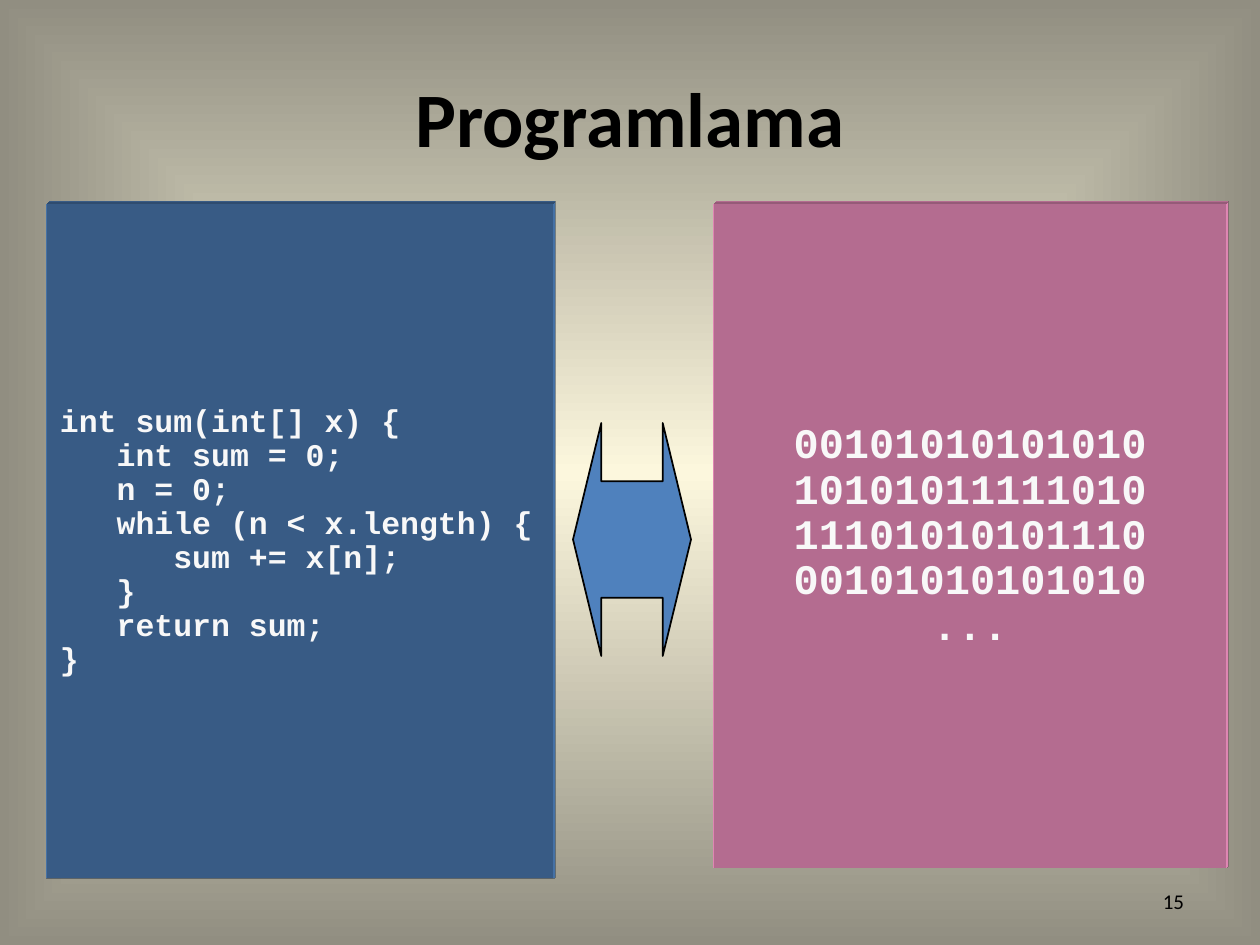
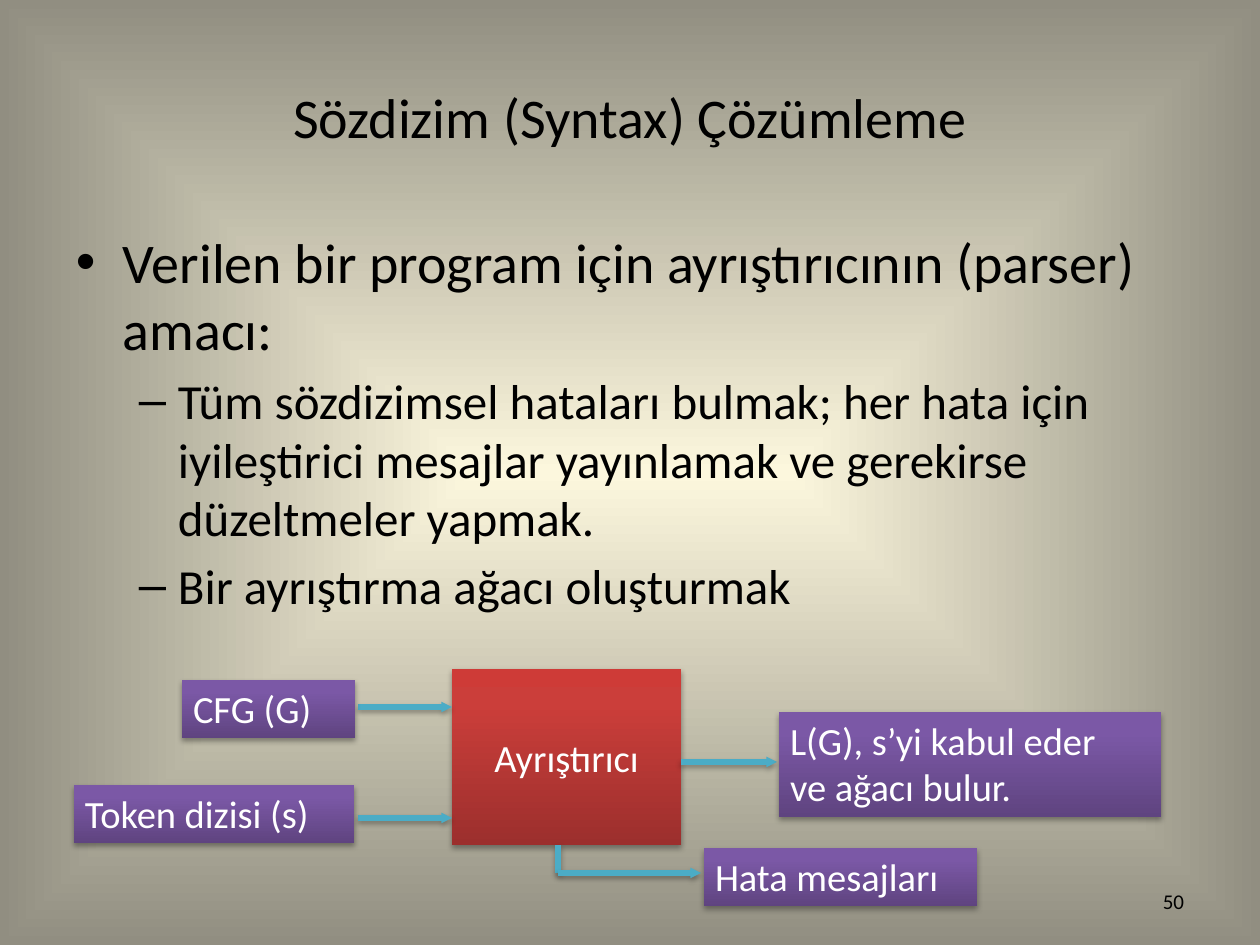
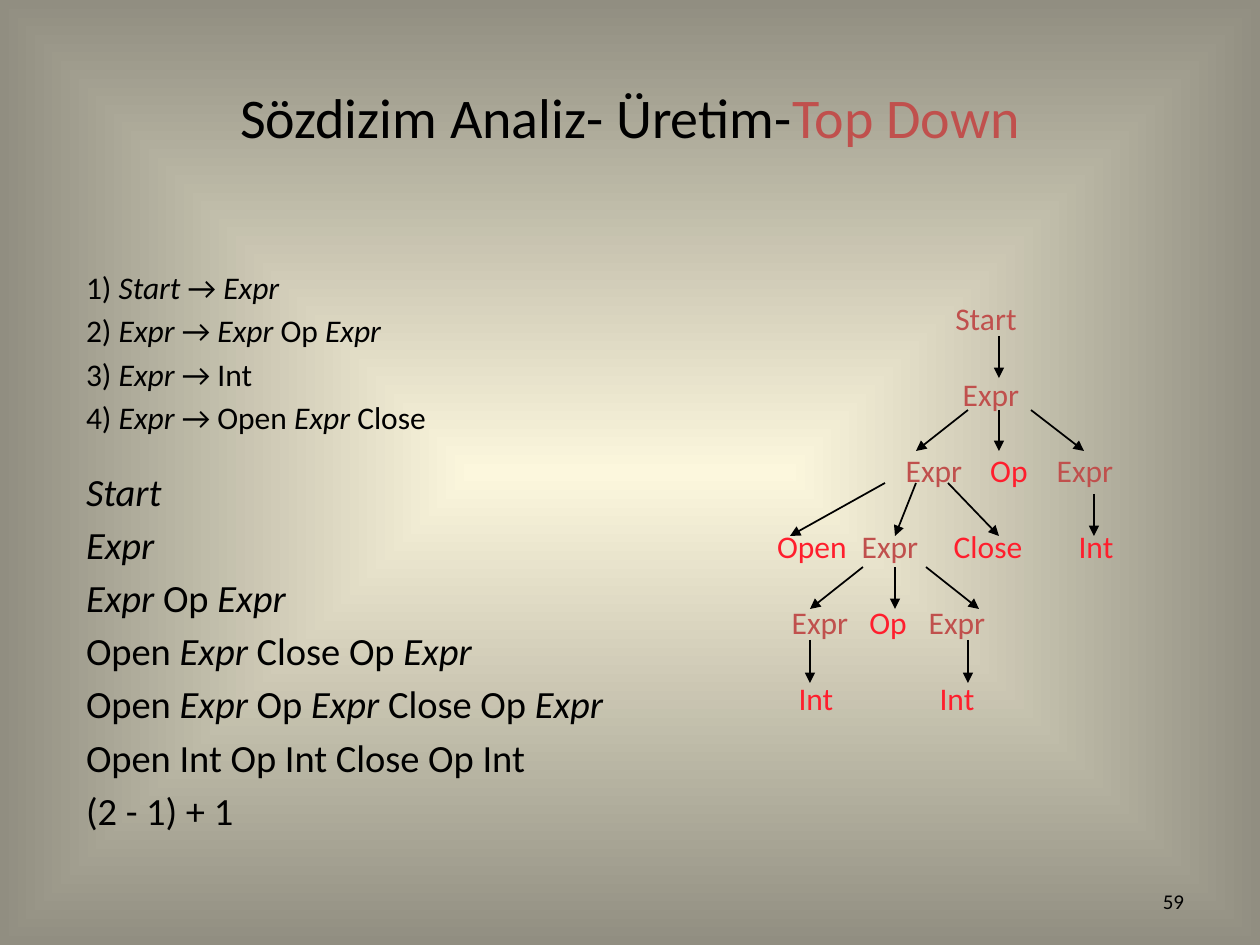
from lxml import etree
from pptx import Presentation
from pptx.dml.color import RGBColor
from pptx.enum.shapes import MSO_CONNECTOR, MSO_SHAPE
from pptx.enum.text import MSO_ANCHOR, PP_ALIGN
from pptx.oxml.ns import nsdecls, qn
from pptx.util import Emu, Pt

PX = 914400 / 126
RECTANGLE, DOUBLE_ARROW = MSO_SHAPE.RECTANGLE, MSO_SHAPE.LEFT_RIGHT_ARROW
STRAIGHT = MSO_CONNECTOR.STRAIGHT
LEFT, CENTER, RIGHT = PP_ALIGN.LEFT, PP_ALIGN.CENTER, PP_ALIGN.RIGHT
TOP, MIDDLE = MSO_ANCHOR.TOP, MSO_ANCHOR.MIDDLE
TITLE_ONLY = 5

COLORS = {
    "text": "000000", "white": "FFFFFF", "code": "F8F8F8",
    "blue": "4F81BD", "pink": "FF99CC", "flow": "4BACC6",
    "nonterminal": "C0504D", "terminal": "FF1E2D",
}
BACKGROUND_STOPS = [(0, "FCF7DD"), (100, "918E81")]
RED_STOPS = [(0, "9C2F2D"), (80, "CB3E3A"), (100, "CE3B37")]
PURPLE_STOPS = [(0, "5F4480"), (80, "7B58A6"), (100, "7C57A8")]
FROM_CENTER = '<a:path path="shape"><a:fillToRect l="50000" t="50000" r="50000" b="50000"/></a:path>'
UPWARDS = '<a:lin ang="16200000" scaled="0"/>'

TITLE_BOX = (63, 38, 1134, 157)
NUMBER_BOX = (903, 876, 294, 50)
TEXT_INSETS = (13, 6)
BLOCK_INSETS = (11, 5)
SPACE_RATIO = 0.18

NONTERMINALS = {"Start", "Expr"}
TREE_ROW_HEIGHT, TREE_LABEL_WIDTH = 76, 90
TREE_ROWS = [
    [("Start", 228)],
    [("Expr", 233)],
    [("Expr", 176), ("Op", 251), ("Expr", 327)],
    [("Open", 54), ("Expr", 132), ("Close", 230), ("Int", 338)],
    [("Expr", 62), ("Op", 130), ("Expr", 199)],
    [("Int", 58), ("Int", 199)],
]
# Start height, end height, and the start and end of each arrow across
TREE_ARROWS = [
    (42, 84, [(241, 241)]),
    (116, 157, [(241, 241), (273, 326), (210, 158)]),
    (189, 242, [(158, 137), (190, 241), (127, 32)]),
    (200, 242, [(336, 336)]),
    (273, 315, [(137, 137), (168, 221), (105, 52)]),
    (346, 389, [(52, 52), (210, 210)]),
]


def px(*values):
    return [Emu(round(value * PX)) for value in values]


def moved(box, left, top):
    return (box[0] + left, box[1] + top, *box[2:])


def rgb(name):
    return RGBColor.from_string(COLORS[name])


def xml(text):
    """Parse one drawing element, declaring its namespace."""
    tag, rest = text.split(None, 1) if " " in text.split(">")[0] else text.split(">", 1)
    joint = " " if " " in text.split(">")[0] else ">"
    return etree.fromstring(f"{tag} {nsdecls('a')}{joint}{rest}")


def set_gradient(fill, owner, stops, shading):
    fill.gradient()
    plain = owner.find(".//" + qn("a:gradFill"))
    stop_list = "".join(
        f'<a:gs pos="{position * 1000}"><a:srgbClr val="{color}"/></a:gs>'
        for position, color in stops)
    plain.getparent().replace(plain, xml(
        f'<a:gradFill rotWithShape="1"><a:gsLst>{stop_list}</a:gsLst>{shading}</a:gradFill>'))


def add_effects(shape, shadow=False):
    """Replace the theme shadow by none or by a soft one below."""
    effects = xml('<a:effectLst></a:effectLst>')
    if shadow:
        effects.append(xml(
            '<a:outerShdw blurRad="40000" dist="23000" dir="5400000" rotWithShape="0">'
            '<a:srgbClr val="000000"><a:alpha val="35000"/></a:srgbClr></a:outerShdw>'))
    shape.element.spPr.append(effects)


def format_font(font, values):
    for name, value in values.items():
        if name == "color":
            font.color.rgb = rgb(value)
        else:
            setattr(font, name, Pt(value) if name == "size" else value)


def style(size, color="text", name="Calibri", **more):
    return {"size": size, "color": color, "name": name, **more}


def write_runs(paragraph, text, font, emphasis):
    """Write text whose parts between asterisks take the emphasis format."""
    for index, part in enumerate(text.split("*")):
        if part:
            run = paragraph.add_run()
            run.text = part
            format_font(run.font, {**font, **(emphasis if index % 2 else {})})


def write_text(shape, lines, font, emphasis=None, align=LEFT, anchor=TOP,
               wrap=True, insets=TEXT_INSETS, line_spacing=None, space=0):
    frame = shape.text_frame
    frame.word_wrap, frame.vertical_anchor = wrap, anchor
    across, down = px(*insets)
    frame.margin_left = frame.margin_right = across
    frame.margin_top = frame.margin_bottom = down
    for index, line in enumerate(lines):
        paragraph = frame.add_paragraph() if index else frame.paragraphs[0]
        paragraph.alignment = align
        if line_spacing:
            paragraph.line_spacing = line_spacing
        if index and space:
            paragraph.space_before = Pt(space)
        write_runs(paragraph, line, font, emphasis or {})


def add_text(slide, box, lines, font, **options):
    shape = slide.shapes.add_textbox(*px(*box))
    write_text(shape, lines, font, **options)
    return shape


def add_block(slide, box, kind=RECTANGLE, color=None, stops=None, shadow=False):
    shape = slide.shapes.add_shape(kind, *px(*box))
    if stops:
        set_gradient(shape.fill, shape.element, stops, UPWARDS)
    else:
        shape.fill.solid()
        shape.fill.fore_color.rgb = rgb(color)
    shape.line.fill.background()
    add_effects(shape, shadow)
    return shape


def add_line(slide, start, end, color, width, head=None, shadow=False):
    line = slide.shapes.add_connector(STRAIGHT, *px(*start, *end))
    line.line.color.rgb = rgb(color)
    line.line.width = Pt(width)
    if head:
        line.line._get_or_add_ln().append(
            xml(f'<a:tailEnd type="triangle" w="{head}" len="{head}"/>'))
    add_effects(line, shadow)


def add_titled_slide(presentation, title, number, size=32, bold=False):
    slide = presentation.slides.add_slide(presentation.slide_layouts[TITLE_ONLY])
    shape = slide.shapes.title
    shape.left, shape.top, shape.width, shape.height = px(*TITLE_BOX)
    write_text(shape, [title], style(size, bold=bold), {"color": "nonterminal"},
               align=CENTER, anchor=MIDDLE)
    add_text(slide, NUMBER_BOX, [str(number)], style(12), align=RIGHT, anchor=MIDDLE)
    return slide


def add_code_panel(slide, box, color, lines, size, align=LEFT):
    """Add a panel with a shallow extrusion to the upper right."""
    panel = add_block(slide, box, color=color)
    panel.element.spPr.append(xml(
        '<a:scene3d ><a:camera prst="legacyObliqueTopRight"/>'
        '<a:lightRig rig="legacyFlat3" dir="b"/></a:scene3d>'))
    panel.element.spPr.append(xml(
        '<a:sp3d extrusionH="49200" prstMaterial="legacyMatte">'
        '<a:bevelT w="13500" h="13500" prst="angle"/>'
        '<a:bevelB w="13500" h="13500" prst="angle"/>'
        f'<a:extrusionClr><a:srgbClr val="{COLORS[color]}"/></a:extrusionClr></a:sp3d>'))
    write_text(panel, lines, style(size, "code", "Courier New", bold=True),
               align=align, anchor=MIDDLE, wrap=False, line_spacing=0.9)


def add_bullets(slide, box, items):
    """Add (level, text) items as a two-level bulleted list."""
    levels = [("•", 32, 47, 47), ("–", 28, 102, 39)]
    frame = add_text(slide, box, [], {}).text_frame
    for index, (level, text) in enumerate(items):
        mark, size, margin, hanging = levels[level]
        paragraph = frame.add_paragraph() if index else frame.paragraphs[0]
        paragraph.level = level
        properties = paragraph._p.get_or_add_pPr()
        margin, hanging = px(margin, hanging)
        properties.set("marL", str(margin))
        properties.set("indent", str(-hanging))
        properties.append(xml('<a:buFont typeface="Arial"/>'))
        properties.append(xml(f'<a:buChar char="{mark}"/>'))
        if index:
            paragraph.space_before = Pt(size * SPACE_RATIO)
        write_runs(paragraph, text, style(size), {})


def add_parser_diagram(slide, box):
    parser = add_block(slide, moved(box, 378, 0)[:2] + (229, 176),
                       stops=RED_STOPS, shadow=True)
    write_text(parser, ["Ayrıştırıcı"], style(22, "white"), align=CENTER,
               anchor=MIDDLE, wrap=False, insets=BLOCK_INSETS)
    flows = [
        ((284, 38), (378, 38), "sm"), ((284, 149), (378, 149), "sm"),
        ((607, 93), (703, 93), "sm"),
        ((484, 176), (484, 204), None), ((484, 204), (627, 204), "sm"),
    ]
    for start, end, head in flows:
        add_line(slide, moved(box[:2], *start), moved(box[:2], *end), "flow", 3,
                 head, shadow=True)
    labels = [
        (108, 11, 173, 58, ["CFG (G)"]),
        (0, 116, 280, 58, ["Token dizisi (s)"]),
        (705, 43, 382, 105, ["L(G), s’yi kabul eder", "ve ağacı bulur."]),
        (630, 179, 273, 58, ["Hata mesajları"]),
    ]
    for left, top, width, height, lines in labels:
        label = add_block(slide, moved(box[:2], left, top) + (width, height),
                          stops=PURPLE_STOPS, shadow=True)
        write_text(label, lines, style(22, "white"), wrap=False, insets=BLOCK_INSETS)


def add_parse_tree(slide, box):
    origin = box[:2]
    for top, bottom, spans in TREE_ARROWS:
        for start, end in spans:
            add_line(slide, moved(origin, start, top), moved(origin, end, bottom),
                     "text", 1, "med")
    for row, labels in enumerate(TREE_ROWS):
        for text, center in labels:
            place = moved(origin, center - TREE_LABEL_WIDTH // 2, 5 + row * TREE_ROW_HEIGHT)
            color = "nonterminal" if text in NONTERMINALS else "terminal"
            add_text(slide, place + (TREE_LABEL_WIDTH, 38), [text], style(18, color),
                     align=CENTER, wrap=False, insets=(0, 0))


def add_derivation(slide, box, lines, size):
    add_text(slide, box, lines, style(size), emphasis={"italic": True},
             space=size * SPACE_RATIO)


def build_programming_slide(presentation):
    slide = add_titled_slide(presentation, "Programlama", 15, size=44, bold=True)
    add_code_panel(slide, (47, 204, 506, 675), "blue", [
        "int sum(int[] x) {",
        "   int sum = 0;",
        "   n = 0;",
        "   while (n < x.length) {",
        "      sum += x[n];",
        "   }",
        "   return sum;",
        "}",
    ], 18)
    add_code_panel(slide, (714, 204, 512, 664), "pink", [
        "00101010101010", "10101011111010", "11101010101110", "00101010101010", "...",
    ], 24, CENTER)
    arrow = add_block(slide, (573, 423, 118, 233), DOUBLE_ARROW, "blue")
    arrow.adjustments[0], arrow.adjustments[1] = 0.5, 0.24
    arrow.line.color.rgb = rgb("text")
    arrow.line.width = Pt(1)


def build_syntax_slide(presentation):
    slide = add_titled_slide(presentation, "Sözdizim (Syntax) Çözümleme", 50)
    add_bullets(slide, (63, 221, 1134, 624), [
        (0, "Verilen bir program için ayrıştırıcının (parser) amacı:"),
        (1, "Tüm sözdizimsel hataları bulmak; her hata için iyileştirici "
            "mesajlar yayınlamak ve gerekirse düzeltmeler yapmak."),
        (1, "Bir ayrıştırma ağacı oluşturmak"),
    ])
    add_parser_diagram(slide, (74, 669, 1087, 237))


def build_top_down_slide(presentation):
    slide = add_titled_slide(presentation, "Sözdizim Analiz- Üretim-*Top Down*", 59)
    add_parse_tree(slide, (758, 294, 557, 471))
    add_derivation(slide, (73, 462, 672, 483), [
        "*Start*",
        "*Expr*",
        "*Expr* Op *Expr*",
        "Open *Expr* Close Op *Expr*",
        "Open *Expr* Op *Expr* Close Op *Expr*",
        "Open Int Op Int Close Op Int",
        "(2 - 1) + 1",
    ], 22)
    add_derivation(slide, (73, 262, 546, 295), [
        "1) *Start* → *Expr*",
        "2) *Expr* → *Expr* Op *Expr*",
        "3) *Expr* → Int",
        "4) *Expr* → Open *Expr* Close",
    ], 18)


def main():
    presentation = Presentation()
    presentation.slide_width, presentation.slide_height = px(1260, 945)
    master = presentation.slide_master
    set_gradient(master.background.fill, master.element, BACKGROUND_STOPS, FROM_CENTER)
    build_programming_slide(presentation)
    build_syntax_slide(presentation)
    build_top_down_slide(presentation)
    presentation.save("out.pptx")


if __name__ == "__main__":
    main()
